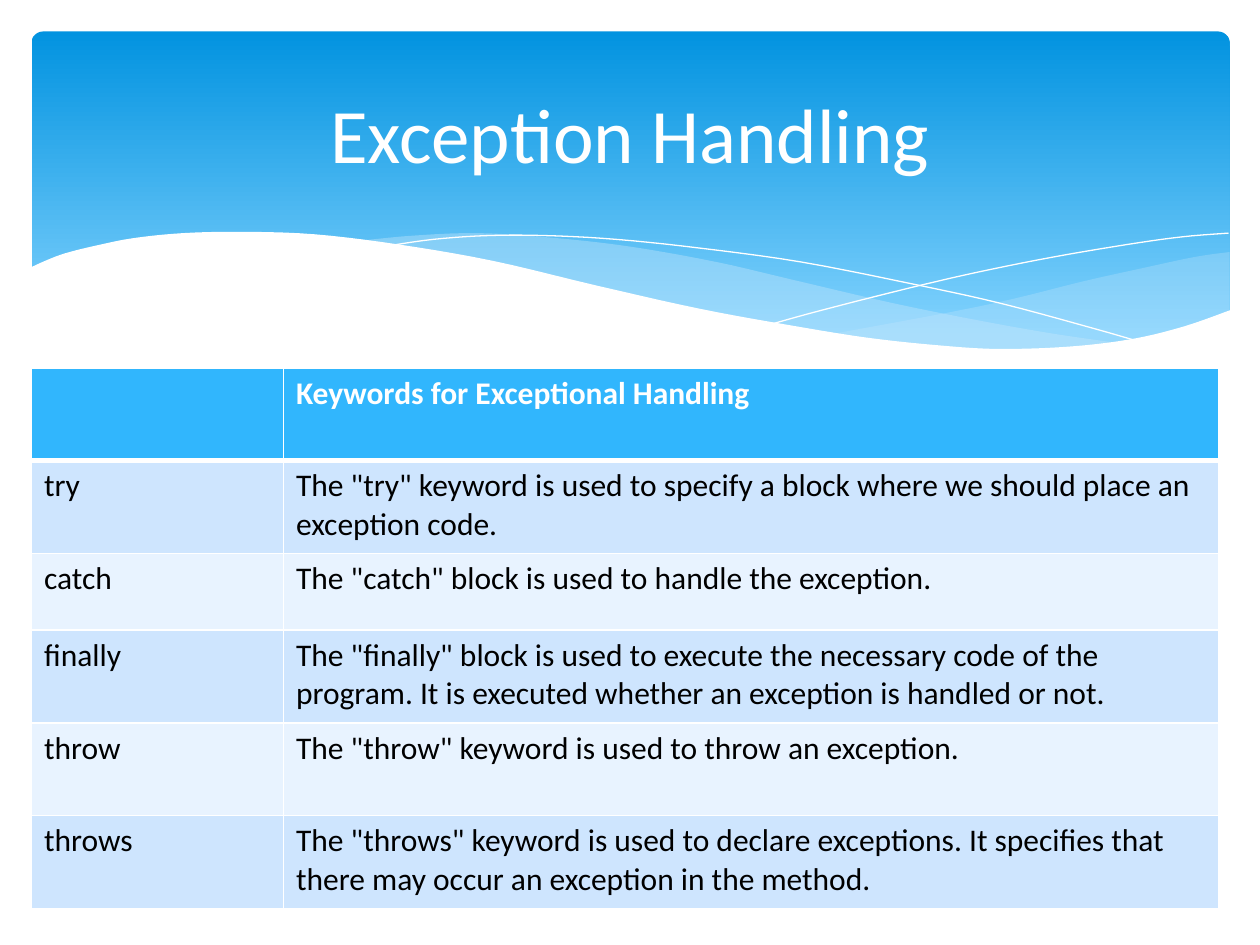
from dataclasses import dataclass

from lxml.etree import SubElement
from pptx import Presentation
from pptx.dml.color import RGBColor
from pptx.enum.shapes import MSO_SHAPE
from pptx.enum.text import MSO_ANCHOR, PP_ALIGN
from pptx.oxml.ns import qn
from pptx.util import Inches, Pt


@dataclass(frozen=True)
class Theme:
    font: str = "Calibri"
    title_size: int = 44
    cell_size: int = 18
    white: str = "FFFFFF"
    text: str = "000000"
    banner_top: str = "0293E0"
    banner_bottom: str = "83D3FE"
    wave: str = "C6E7FC"
    header: str = "31B6FD"
    bands: tuple = ("CEE5FE", "E8F3FF")


THEME = Theme()

# Curve points, in inches from the banner's top left corner
RIGHT_WAVE = [
    [(9.51, 1.75), (9.23, 1.79), (8.81, 1.88), (8.36, 1.98), (7.8, 2.12),
     (7.28, 2.23), (6.36, 2.4)],
    [(6.36, 2.4), (6.8, 2.46), (7.32, 2.51), (7.89, 2.53), (8.38, 2.51),
     (8.8, 2.44), (9.17, 2.34), (9.51, 2.22)],
]
MIDDLE_WAVE = [
    [(8.68, 2.48), (8.12, 2.4), (7.5, 2.29), (6.81, 2.15), (6.04, 1.97),
     (5.44, 1.83), (4.77, 1.71), (4.17, 1.64), (3.55, 1.6), (3.03, 1.62),
     (2.61, 1.66)],
    [(2.61, 1.66), (3.17, 1.74), (3.79, 1.86), (4.24, 1.97), (5.05, 2.15),
     (5.76, 2.3), (6.4, 2.41), (6.97, 2.49), (7.48, 2.52), (8.03, 2.53),
     (8.42, 2.51), (8.68, 2.48)],
]
FALLING_LINE = [
    [(2.84, 1.7), (3.19, 1.65), (3.62, 1.62), (4.08, 1.62), (4.64, 1.65),
     (5.31, 1.72), (6.11, 1.83), (7.02, 2.01), (7.7, 2.16), (8.44, 2.36),
     (8.82, 2.47)],
]
RISING_LINE = [
    [(5.88, 2.32), (6.28, 2.21), (6.95, 2.04), (7.51, 1.91), (8.11, 1.79),
     (8.7, 1.69), (9.13, 1.63), (9.5, 1.6)],
]
WHITE_WAVE = [
    [(9.52, 2.21), (9.15, 2.34), (8.74, 2.44), (8.25, 2.5), (7.68, 2.52),
     (7.19, 2.49), (6.63, 2.43), (6.01, 2.33), (5.3, 2.2), (4.5, 2.02),
     (3.66, 1.82), (2.91, 1.69), (2.25, 1.61), (1.68, 1.59), (1.21, 1.6),
     (0.81, 1.64), (0.51, 1.7), (0.27, 1.76), (0.11, 1.82), (-0.02, 1.88)],
    [(-0.02, 3.04), (9.52, 3.04)],
]

KEYWORDS = [
    ("", "Keywords for Exceptional Handling"),
    ("try", 'The "try" keyword is used to specify a block where we should '
            "place an exception code."),
    ("catch", 'The "catch" block is used to handle the exception.'),
    ("finally", 'The "finally" block is used to execute the necessary code of '
                "the program. It is executed whether an exception is handled "
                "or not."),
    ("throw", 'The "throw" keyword is used to throw an exception.'),
    ("throws", 'The "throws" keyword is used to declare exceptions. It '
               "specifies that there may occur an exception in the method."),
]


def rgb(value):
    return RGBColor.from_string(value)


def smooth(points, steps=5):
    """Return points along a Catmull-Rom curve through the given points."""
    ends = [points[0], *points, points[-1]]
    curve = [points[0]]
    for a, b, c, d in zip(ends, ends[1:], ends[2:], ends[3:]):
        for step in range(1, steps + 1):
            t = step / steps
            curve.append(tuple(
                (2 * q + (r - p) * t + (2 * p - 5 * q + 4 * r - u) * t ** 2
                 + (3 * q - p - 3 * r + u) * t ** 3) / 2
                for p, q, r, u in zip(a, b, c, d)))
    return curve


def add_curve(s, left, top, sections, close):
    points = [(left + Inches(x), top + Inches(y))
              for section in sections for x, y in smooth(section)]
    builder = s.shapes.build_freeform(*points[0])
    builder.add_line_segments(points[1:], close=close)
    sp = builder.convert_to_shape()
    sp.shadow.inherit = False
    return sp


def add_wave(s, left, top, sections, color, opacity=100):
    sp = add_curve(s, left, top, sections, True)
    sp.fill.solid()
    sp.fill.fore_color.rgb = rgb(color)
    sp.line.fill.background()
    if opacity < 100:
        clr = sp.element.spPr.find(qn("a:solidFill"))[0]
        SubElement(clr, qn("a:alpha"), val=str(opacity * 1000))


def add_wave_line(s, left, top, sections):
    sp = add_curve(s, left, top, sections, False)
    sp.fill.background()
    sp.line.color.rgb = rgb(THEME.white)
    sp.line.width = Pt(0)


def add_banner(s, left, top, width, height):
    sp = s.shapes.add_shape(MSO_SHAPE.ROUNDED_RECTANGLE, left, top, width, height)
    sp.adjustments[0] = 0.034
    sp.shadow.inherit = False
    sp.line.fill.background()
    sp.fill.gradient()
    sp.fill.gradient_angle = 270
    stops = ((0, THEME.banner_top), (0.9, THEME.banner_bottom))
    for stop, (position, color) in zip(sp.fill.gradient_stops, stops):
        stop.position = position
        stop.color.rgb = rgb(color)

    add_wave(s, left, top, RIGHT_WAVE, THEME.wave, 29)
    add_wave(s, left, top, MIDDLE_WAVE, THEME.wave, 40)
    add_wave_line(s, left, top, FALLING_LINE)
    add_wave_line(s, left, top, RISING_LINE)
    add_wave(s, left, top, WHITE_WAVE, THEME.white)


def add_run(p, text, size, color, bold=False):
    r = p.add_run()
    r.text = text
    r.font.name = THEME.font
    r.font.size = Pt(size)
    r.font.bold = bold
    r.font.color.rgb = rgb(color)


def place_title(s, left, top, width, height, text):
    title = s.shapes.title
    title.left, title.top, title.width, title.height = left, top, width, height
    tf = title.text_frame
    tf.vertical_anchor = MSO_ANCHOR.MIDDLE
    p = tf.paragraphs[0]
    p.alignment = PP_ALIGN.CENTER
    add_run(p, text, THEME.title_size, THEME.white)
    s.shapes.element.append(title.element)  # in front of the banner


def set_borders(cell, top, bottom):
    tcPr = cell._tc.get_or_add_tcPr()
    for side, width in (("L", 1), ("R", 1), ("T", top), ("B", bottom)):
        ln = SubElement(tcPr, qn(f"a:ln{side}"), w=str(Pt(width)))
        fill = SubElement(ln, qn("a:solidFill"))
        SubElement(fill, qn("a:srgbClr"), val=THEME.white)


def add_keyword_table(s, left, top, width, height):
    table = s.shapes.add_table(len(KEYWORDS), 2, left, top, width, height).table
    table.columns[0].width = Inches(2)
    table.columns[1].width = width - Inches(2)
    short_row = Inches(0.61)
    tall_row = (height - short_row) // (len(KEYWORDS) - 1)
    for i, texts in enumerate(KEYWORDS):
        header = i == 0
        table.rows[i].height = short_row if texts[0] == "catch" else tall_row
        for cell, text in zip(table.rows[i].cells, texts):
            set_borders(cell, 3 if i == 1 else 1, 3 if header else 1)
            cell.fill.solid()
            cell.fill.fore_color.rgb = rgb(
                THEME.header if header else THEME.bands[(i - 1) % 2])
            if text:
                add_run(cell.text_frame.paragraphs[0], text, THEME.cell_size,
                        THEME.white if header else THEME.text, header)


def main():
    prs = Presentation()
    prs.slide_width, prs.slide_height = Inches(10), Inches(7.5)
    s = prs.slides.add_slide(prs.slide_layouts[5])
    add_banner(s, Inches(0.25), Inches(0.25), Inches(9.51), Inches(2.7))
    place_title(s, Inches(0.5), Inches(0.37), Inches(9), Inches(1.37),
                "Exception Handling")
    add_keyword_table(s, Inches(0.25), Inches(2.92), Inches(9.42), Inches(4.29))
    prs.save("out.pptx")


if __name__ == "__main__":
    main()
